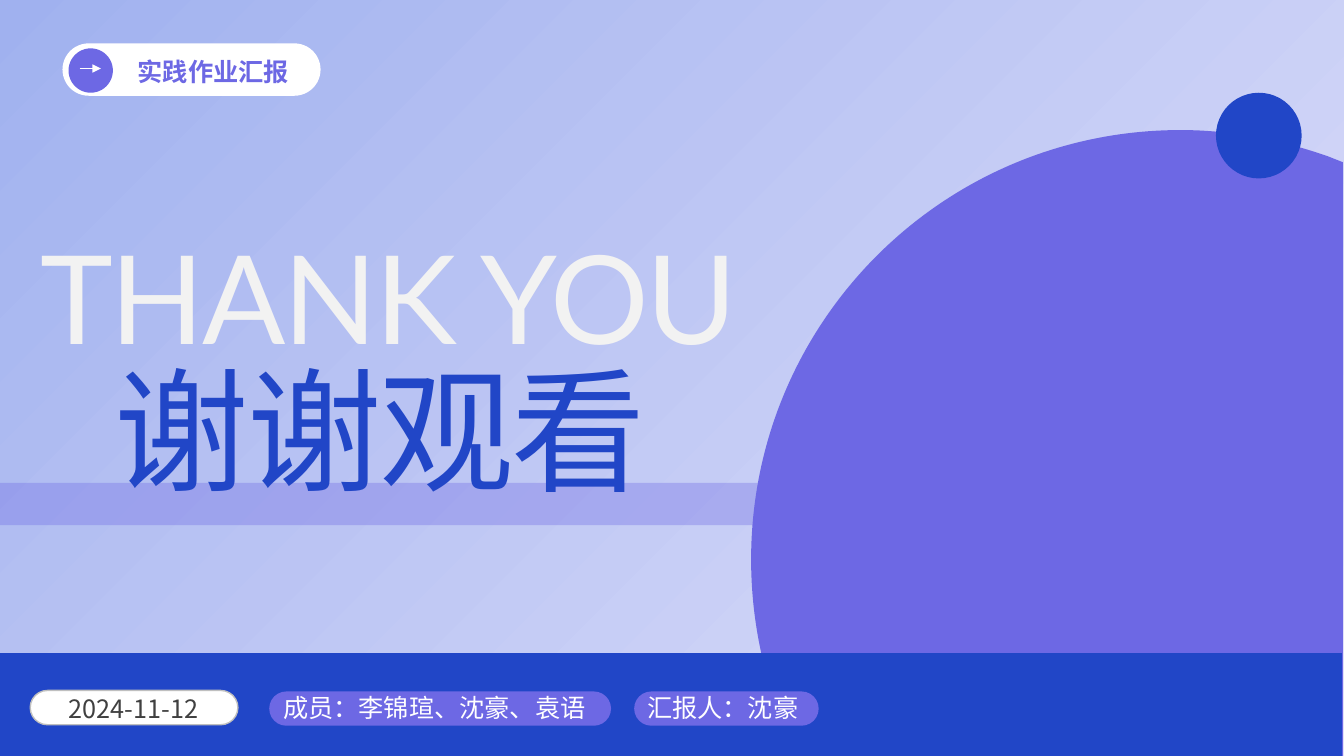
from lxml import etree
from pptx import Presentation
from pptx import util as u
from pptx.dml.color import RGBColor
from pptx.enum import shapes, text
from pptx.oxml import parse_xml
from pptx.oxml.ns import nsdecls, qn

COLORS = {
    "blue": "2146C7",
    "violet": "6D68E4",
    "white": "FFFFFF",
    "pale": "F2F2F2",
    "gray": "BFBFBF",
    "dark": "404040",
    "sky": "A0B1EF",
    "lavender": "E2E1FA",
}
BODY_FONT = "Noto Sans CJK SC"

# An outline is a list of steps: one point for a line, three for a Bezier curve.
DISC = [
    [(11.71, 1.29)],
    [(12.22, 1.29), (12.71, 1.39), (13.17, 1.55)],
    [(13.32, 1.61)],
    [(13.32, 7.54)],
    [(7.94, 7.54)],
    [(7.78, 7.21)],
    [(7.57, 6.7), (7.45, 6.14), (7.45, 5.55)],
    [(7.45, 3.2), (9.35, 1.29), (11.71, 1.29)],
]
BAND = [
    [(0, 4.79)],
    [(8.47, 4.79)],
    [(8.59, 4.79), (8.68, 4.88), (8.68, 5)],
    [(8.68, 5.11), (8.59, 5.21), (8.47, 5.21)],
    [(0, 5.21)],
]


def rgb(name):
    return RGBColor.from_string(COLORS[name])


def set_background(slide):
    """Radial gradient centred on the bottom right corner."""
    fill = slide.background.fill
    fill.gradient()
    for stop, color in zip(fill.gradient_stops, ("lavender", "sky")):
        stop.color.rgb = rgb(color)
    linear = slide.element.find(".//" + qn("a:lin"))
    radial = parse_xml(
        f'<a:path {nsdecls("a")} path="circle">'
        '<a:fillToRect l="100000" t="100000"/></a:path>'
    )
    linear.getparent().replace(linear, radial)


def paint(shape, fill, line=None):
    shape.shadow.inherit = False
    shape.fill.solid()
    shape.fill.fore_color.rgb = rgb(fill)
    if line:
        shape.line.color.rgb = rgb(line)
        shape.line.width = u.Pt(1)
    else:
        shape.line.fill.background()


def add_preset(canvas, kind, box, fill, line=None):
    shape = canvas.add_shape(kind, *map(u.Inches, box))
    paint(shape, fill, line)
    return shape


def add_pill(canvas, box, fill, line=None):
    pill = add_preset(canvas, shapes.MSO_SHAPE.ROUNDED_RECTANGLE, box, fill, line)
    pill.adjustments[0] = 0.5


def add_outline(canvas, steps, fill):
    points = [(u.Inches(x), u.Inches(y)) for step in steps for x, y in step]
    builder = canvas.build_freeform(*points[0])
    builder.add_line_segments(points[1:], close=True)
    shape = builder.convert_to_shape()
    segments = iter(list(shape.element.iter(qn("a:lnTo"))))
    for step in steps[1:]:
        parts = [next(segments) for _ in step]
        if len(parts) == 3:
            curve = etree.Element(qn("a:cubicBezTo"))
            parts[0].addprevious(curve)
            for part in parts:
                curve.append(part[0])
                part.getparent().remove(part)
    paint(shape, fill)
    return shape


def set_alpha(shape, percent):
    color = shape.element.spPr.find(qn("a:solidFill"))[0]
    etree.SubElement(color, qn("a:alpha"), val=str(percent * 1000))


def add_label(canvas, box, words, color, size=18, font=BODY_FONT,
              bold=False, centered=False, spacing=None, wrap=True):
    label = canvas.add_textbox(*map(u.Inches, box))
    frame = label.text_frame
    frame.text = words
    frame.word_wrap = wrap
    frame.auto_size = text.MSO_AUTO_SIZE.SHAPE_TO_FIT_TEXT
    paragraph = frame.paragraphs[0]
    if centered:
        paragraph.alignment = text.PP_ALIGN.CENTER
    run = paragraph.runs[0]
    run.font.name = font
    run.font.size = u.Pt(size)
    run.font.bold = bold
    run.font.color.rgb = rgb(color)
    properties = run.font._element
    etree.SubElement(properties, qn("a:ea"), typeface=font)
    if spacing:
        properties.set("spc", str(int(spacing * 100)))


def add_arrow(canvas, start, end):
    arrow = canvas.add_connector(
        shapes.MSO_CONNECTOR.STRAIGHT, *map(u.Inches, start + end)
    )
    arrow.line.color.rgb = rgb("white")
    arrow.line.width = u.Pt(0.5)
    etree.SubElement(arrow.line._get_or_add_ln(), qn("a:tailEnd"), type="triangle")
    etree.SubElement(arrow._element.spPr, qn("a:effectLst"))


def add_scenery(canvas):
    add_outline(canvas, DISC, "violet")
    add_preset(canvas, shapes.MSO_SHAPE.OVAL, (12.06, 0.92, 0.85, 0.85), "blue")
    add_preset(canvas, shapes.MSO_SHAPE.RECTANGLE, (-0.02, 6.48, 13.33, 1.12), "blue")


def add_badge(canvas):
    badge = canvas.add_group_shape().shapes
    add_pill(badge, (0.62, 0.43, 2.56, 0.52), "white")
    add_preset(badge, shapes.MSO_SHAPE.OVAL, (0.68, 0.48, 0.44, 0.44), "violet")
    add_arrow(badge, (0.79, 0.68), (1, 0.68))
    add_label(badge, (1.06, 0.51, 2.11, 0.4), "实践作业汇报", "violet",
              font="Cabin", bold=True, centered=True)


def add_titles(canvas):
    add_label(canvas, (0.3, 2.15, 10.04, 1.58), "THANK YOU", "pale",
              size=88, font="Lato", spacing=-1.5)
    set_alpha(add_outline(canvas, BAND, "violet"), 34)
    add_label(canvas, (1.04, 3.39, 7.54, 1.72), "谢谢观看", "blue",
              size=96, font="Noto Sans CJK JP", spacing=-1.5)


def add_tag(canvas, pill_box, label_box, words, fill, color, line=None, **style):
    """A pill with its label, grouped."""
    tag = canvas.add_group_shape().shapes
    add_pill(tag, pill_box, fill, line)
    add_label(tag, label_box, words, color, **style)


def add_footer(canvas):
    add_tag(canvas, (0.3, 6.85, 2.06, 0.34), (0.38, 6.83, 1.89, 0.71),
            "2024-11-12", "white", "dark", line="gray", centered=True)
    add_tag(canvas, (2.67, 6.86, 3.39, 0.34), (2.71, 6.82, 3.23, 0.4),
            "成员：李锦瑄、沈豪、袁语", "violet", "white", wrap=False)
    add_tag(canvas, (6.29, 6.86, 1.83, 0.34), (6.32, 6.82, 1.73, 0.4),
            "汇报人：沈豪", "violet", "white")


def main():
    presentation = Presentation()
    presentation.slide_width = u.Inches(13.33)
    presentation.slide_height = u.Inches(7.5)
    slide = presentation.slides.add_slide(presentation.slide_layouts[6])
    set_background(slide)
    add_scenery(slide.shapes)
    add_badge(slide.shapes)
    add_titles(slide.shapes)
    add_footer(slide.shapes)
    presentation.save("out.pptx")


if __name__ == "__main__":
    main()
